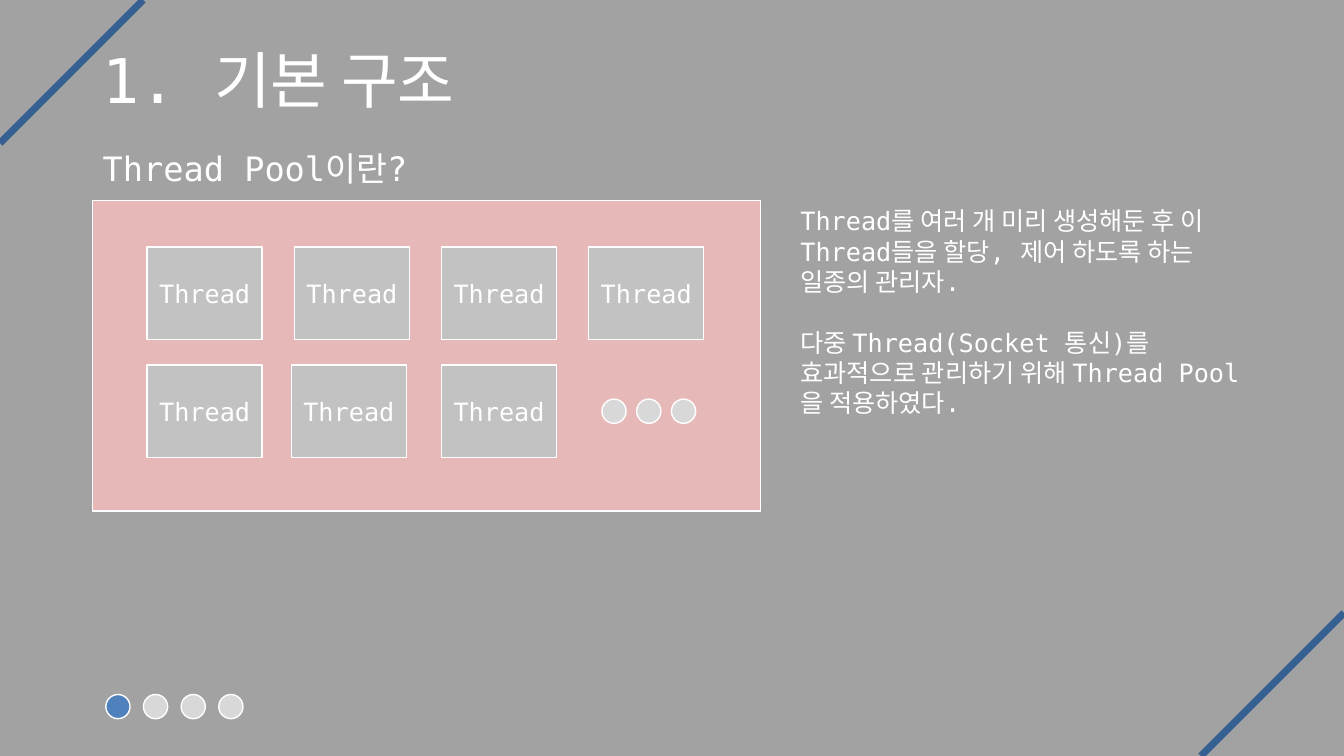
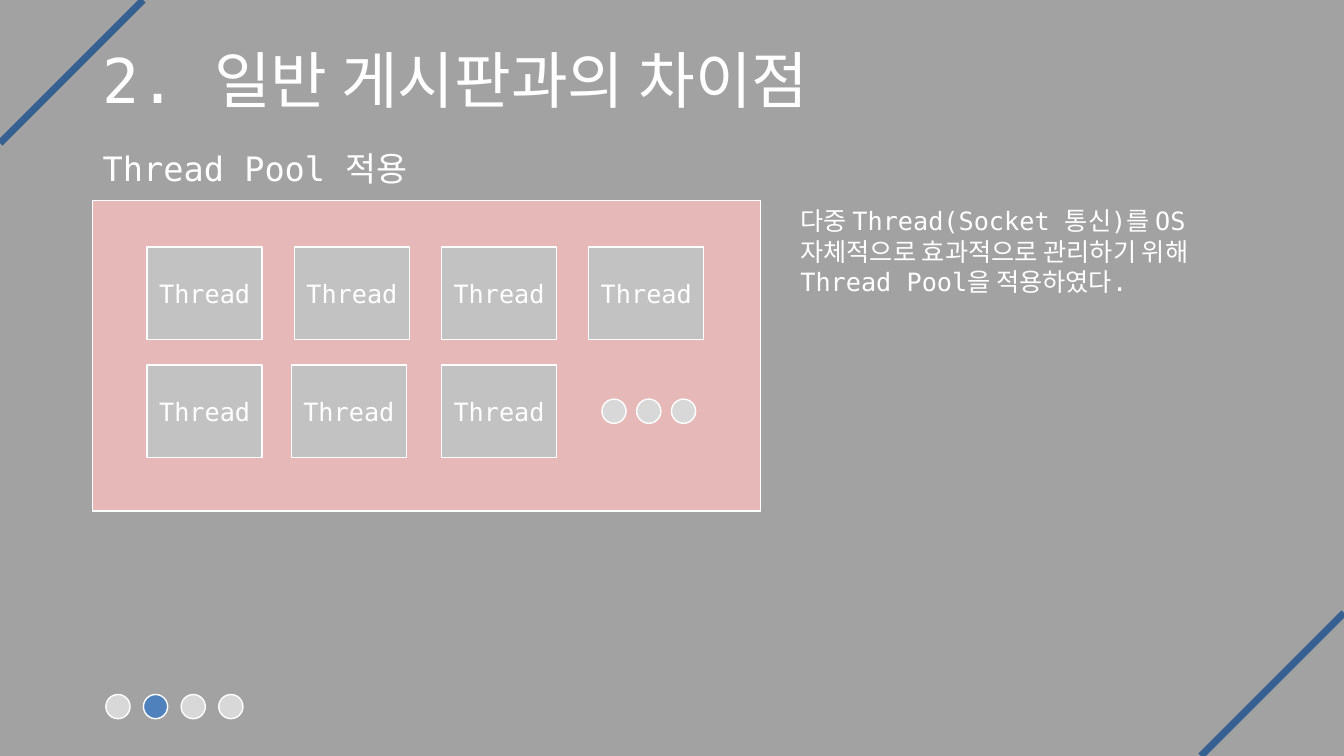
from lxml.etree import SubElement
from pptx import Presentation
from pptx.dml.color import RGBColor
from pptx.enum.shapes import MSO_CONNECTOR, MSO_SHAPE
from pptx.enum.text import MSO_ANCHOR, MSO_AUTO_SIZE, PP_ALIGN
from pptx.oxml.ns import qn
from pptx.util import Inches, Pt

# Content
SLIDES = [
    {
        "title": "1. 기본 구조",
        "subtitle": "Thread Pool이란?",
        "description": [
            "Thread를 여러 개 미리 생성해둔 후 이 Thread들을 할당, 제어 하도록 하는 일종의 관리자.",
            "다중 Thread(Socket 통신)를 효과적으로 관리하기 위해 Thread Pool을 적용하였다.",
        ],
        "description_height": 2.22,
    },
    {
        "title": "2. 일반 게시판과의 차이점",
        "subtitle": "Thread Pool 적용",
        "description": [
            "다중 Thread(Socket 통신)를 OS 자체적으로 효과적으로 관리하기 위해 Thread Pool을 적용하였다.",
        ],
        "description_height": 1.31,
    },
]
THREAD_COUNT = 7
PAGE_COUNT = 4

# Shared style
FONT = "DejaVu Sans Mono"
WHITE = RGBColor(0xFF, 0xFF, 0xFF)
BACKGROUND = RGBColor(0xA2, 0xA2, 0xA2)
STRIPE = RGBColor(0x37, 0x60, 0x92)
POOL = RGBColor(0xE6, 0xB9, 0xB8)
THREAD = RGBColor(0xC2, 0xC2, 0xC2)
DOT = RGBColor(0xD8, 0xD8, 0xD8)
ACTIVE_DOT = RGBColor(0x4F, 0x81, 0xBD)

# Shared layout, in inches
WIDTH, HEIGHT = 13.33, 7.5
MARGIN = 0.92
CORNER = 1.42
POOL_TOP = 1.99
THREAD_LEFT, THREAD_TOP = 1.46, 2.45
THREAD_PITCH_X, THREAD_PITCH_Y = 1.46, 1.17
THREAD_COLUMNS = 4
THREAD_NUDGES = {5: -0.03}  # small sideways shift by box index
DOT_SIZE = 0.24


def format_text(text_frame, size, alignment=None):
    for paragraph in text_frame.paragraphs:
        paragraph.alignment = alignment
        for run in paragraph.runs:
            run.font.name = FONT
            run.font.size = Pt(size)
            run.font.color.rgb = WHITE


def add_text(slide, box, paragraphs, size, gap=0):
    shape = slide.shapes.add_textbox(*map(Inches, box))
    text_frame = shape.text_frame
    text_frame.word_wrap = True
    text_frame.auto_size = MSO_AUTO_SIZE.SHAPE_TO_FIT_TEXT
    text_frame.text = "\n".join(paragraphs)
    for paragraph in text_frame.paragraphs[1:]:
        paragraph.space_before = Pt(gap)
    format_text(text_frame, size)
    return text_frame


def add_box(slide, kind, box, fill, text=""):
    shape = slide.shapes.add_shape(kind, *map(Inches, box))
    shape.shadow.inherit = False
    shape.fill.solid()
    shape.fill.fore_color.rgb = fill
    shape.line.color.rgb = WHITE
    shape.line.width = Pt(1)
    if text:
        text_frame = shape.text_frame
        text_frame.text = text
        text_frame.vertical_anchor = MSO_ANCHOR.MIDDLE
        format_text(text_frame, 18, PP_ALIGN.CENTER)


def add_dots(slide, first, last, top, count, active=None):
    """Spread dots evenly between the first and last left edges."""
    for index in range(count):
        left = first + (last - first) * index / (count - 1)
        fill = ACTIVE_DOT if index == active else DOT
        add_box(slide, MSO_SHAPE.OVAL, (left, top, DOT_SIZE, DOT_SIZE), fill)


def add_stripe(slide, *ends):
    line = slide.shapes.add_connector(MSO_CONNECTOR.STRAIGHT, *map(Inches, ends))
    line.line.color.rgb = STRIPE
    line.line.width = Pt(5)
    SubElement(line._element.spPr, qn("a:effectLst"))


def add_frame(slide, title, subtitle):
    title_frame = add_text(slide, (MARGIN, 0.4, 11.5, 0.85), [title], 44)
    title_frame.auto_size = MSO_AUTO_SIZE.NONE
    title_frame.vertical_anchor = MSO_ANCHOR.MIDDLE
    title_frame.paragraphs[0].line_spacing = 0.9
    add_stripe(slide, 0, CORNER, CORNER, 0)
    add_stripe(slide, WIDTH - CORNER, HEIGHT, WIDTH, HEIGHT - CORNER)
    add_text(slide, (MARGIN, CORNER, 4.59, 0.5), [subtitle], 24)


def add_thread_pool(slide):
    add_box(slide, MSO_SHAPE.RECTANGLE, (MARGIN, POOL_TOP, 6.62, 3.08), POOL)
    for index in range(THREAD_COUNT):
        row, column = divmod(index, THREAD_COLUMNS)
        left = THREAD_LEFT + column * THREAD_PITCH_X + THREAD_NUDGES.get(index, 0)
        top = THREAD_TOP + row * THREAD_PITCH_Y
        add_box(slide, MSO_SHAPE.RECTANGLE, (left, top, 1.14, 0.92), THREAD, "Thread")
    add_dots(slide, 5.97, 6.66, 3.96, 3)


def main():
    presentation = Presentation()
    presentation.slide_width = Inches(WIDTH)
    presentation.slide_height = Inches(HEIGHT)
    background = presentation.slide_master.background.fill
    background.solid()
    background.fore_color.rgb = BACKGROUND

    for page, content in enumerate(SLIDES):
        slide = presentation.slides.add_slide(presentation.slide_layouts[6])
        add_frame(slide, content["title"], content["subtitle"])
        add_thread_pool(slide)
        description_box = (7.84, POOL_TOP, 4.66, content["description_height"])
        add_text(slide, description_box, content["description"], 18, gap=22)
        # Page indicator
        add_dots(slide, 1.05, 2.17, 6.89, PAGE_COUNT, active=page)

    presentation.save("out.pptx")


if __name__ == "__main__":
    main()
